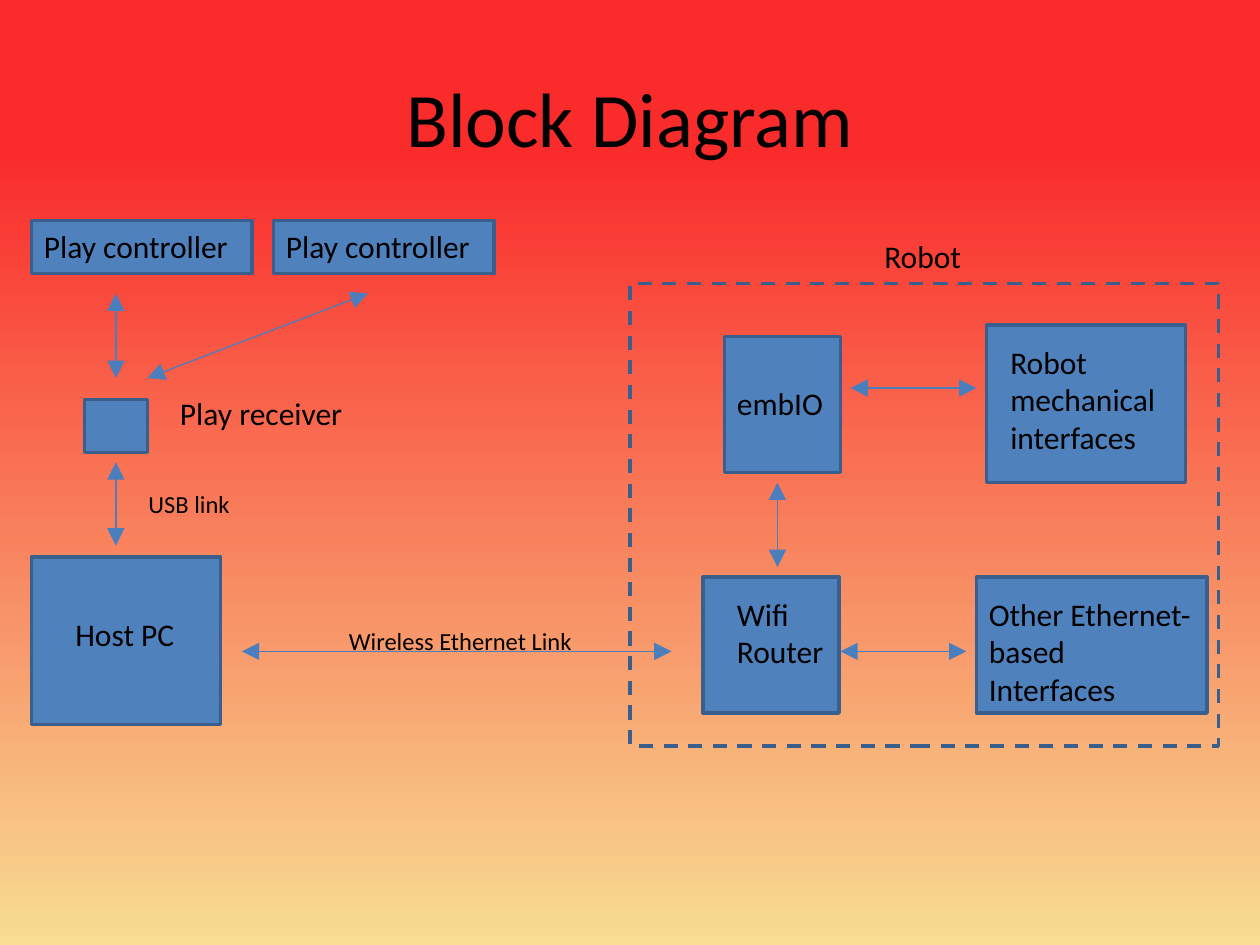
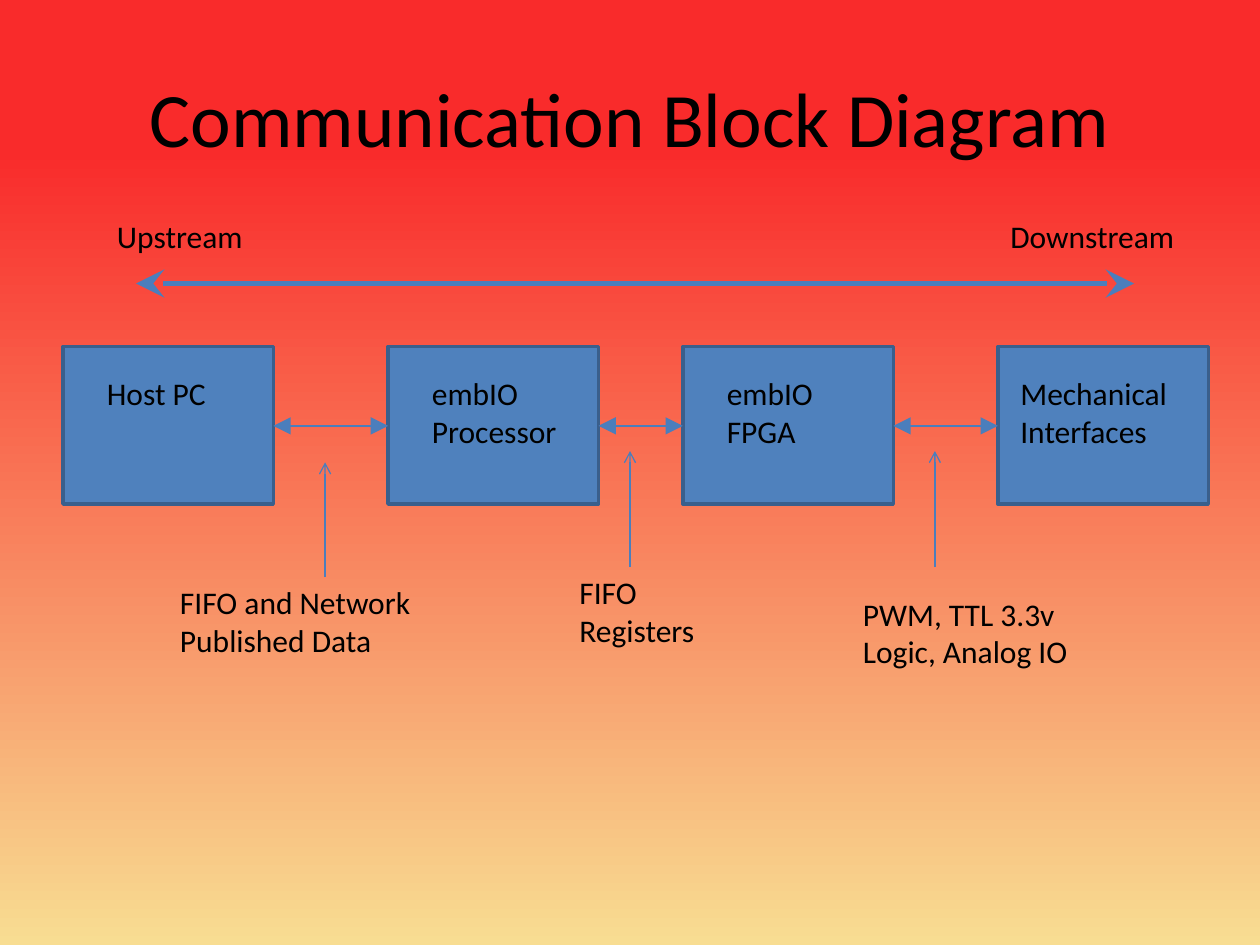
"""Build two block diagram slides for a robot control system."""
from lxml.etree import SubElement
from pptx import Presentation
from pptx.dml.color import RGBColor
from pptx.enum.dml import MSO_LINE
from pptx.enum.shapes import MSO_CONNECTOR, MSO_SHAPE
from pptx.enum.text import MSO_ANCHOR, MSO_AUTO_SIZE, PP_ALIGN
from pptx.oxml.ns import qn
from pptx.util import Inches, Pt

RED = RGBColor(0xF9, 0x2B, 0x2B)
SAND = RGBColor(0xF8, 0xDD, 0x92)
BLUE = RGBColor(0x4F, 0x81, 0xBD)
BORDER = RGBColor(0x3A, 0x5F, 0x8C)
ARROW = RGBColor(0x4B, 0x7E, 0xBC)
BLACK = RGBColor(0, 0, 0)
FONT = "Calibri"


def write(frame, text, size=18, align=PP_ALIGN.LEFT, anchor=MSO_ANCHOR.TOP):
    frame.word_wrap = True
    frame.vertical_anchor = anchor
    para = frame.paragraphs[0]
    para.alignment = align
    span = para.add_run()
    span.text = text
    span.font.name = FONT
    span.font.size = Pt(size)
    span.font.color.rgb = BLACK


def add_page(deck, title):
    page = deck.slides.add_slide(deck.slide_layouts[5])
    fill = page.background.fill
    fill.gradient()
    fill.gradient_angle = 270
    for stop, position, color in zip(fill.gradient_stops, (0.16, 1), (RED, SAND)):
        stop.position = position
        stop.color.rgb = color
    box = page.shapes.title
    box.left, box.top = Inches(0.5), Inches(0.3)
    box.width, box.height = Inches(9), Inches(1.25)
    write(box.text_frame, title, size=44, align=PP_ALIGN.CENTER,
          anchor=MSO_ANCHOR.MIDDLE)
    return page


def add_block(page, left, top, width, height, dashed=False):
    block = page.shapes.add_shape(MSO_SHAPE.RECTANGLE, Inches(left), Inches(top),
                                  Inches(width), Inches(height))
    block.shadow.inherit = False
    block.line.color.rgb = BORDER
    block.line.width = Pt(2)
    if dashed:
        block.fill.background()
        block.line.dash_style = MSO_LINE.DASH
    else:
        block.fill.solid()
        block.fill.fore_color.rgb = BLUE


def add_label(page, text, left, top, width, height=0.4, size=18):
    box = page.shapes.add_textbox(Inches(left), Inches(top),
                                  Inches(width), Inches(height))
    write(box.text_frame, text, size=size)
    box.text_frame.auto_size = MSO_AUTO_SIZE.SHAPE_TO_FIT_TEXT


def add_arrow(page, start, end, head="triangle", tail="triangle", width=0.75,
              tip_size="lg"):
    arrow = page.shapes.add_connector(MSO_CONNECTOR.STRAIGHT,
                                      *map(Inches, start + end))
    arrow.line.color.rgb = ARROW
    arrow.line.width = Pt(width)
    outline = arrow.get_or_add_ln()
    for tag, kind in (("a:headEnd", head), ("a:tailEnd", tail)):
        if kind:
            SubElement(outline, qn(tag), type=kind, w=tip_size, len=tip_size)
    SubElement(arrow._element.spPr, qn("a:effectLst"))


def build_system_page(deck):
    page = add_page(deck, "Block Diagram")

    add_block(page, 5, 2.25, 4.67, 3.67, dashed=True)
    add_label(page, "Robot", 6.92, 1.83, 2.25)

    blocks = [
        (5.75, 2.67, 0.92, 1.08),
        (7.83, 2.58, 1.58, 1.25),
        (0.25, 4.42, 1.5, 1.33),
        (5.58, 4.58, 1.08, 1.08),
        (7.75, 4.58, 1.83, 1.08),
        (0.67, 3.17, 0.5, 0.42),
    ]
    for place in blocks:
        add_block(page, *place)

    for left in (0.25, 2.17):
        add_block(page, left, 1.75, 1.75, 0.42)
        add_label(page, "Play controller", left, 1.75, 1.75)

    arrows = [
        ((6.75, 3.08), (7.75, 3.08)),
        ((6.17, 3.83), (6.17, 4.5)),
        ((6.67, 5.17), (7.67, 5.17)),
        ((1.92, 5.17), (5.33, 5.17)),
        ((0.92, 3.67), (0.92, 4.33)),
        ((0.92, 2.33), (0.92, 3)),
        ((2.92, 2.33), (1.17, 3)),
    ]
    for start, end in arrows:
        add_arrow(page, start, end)

    labels = [
        ("embIO", 5.75, 3, 0.92, 0.4),
        ("Robot mechanical interfaces", 7.92, 2.67, 1.5, 1.01),
        ("Host PC", 0.5, 4.83, 1, 0.42),
        ("Wifi Router", 5.75, 4.67, 0.92, 0.71),
        ("Other Ethernet-based Interfaces", 7.75, 4.67, 1.83, 1.01),
        ("Play receiver", 1.33, 3.08, 1.75, 0.4),
    ]
    for label in labels:
        add_label(page, *label)
    add_label(page, "Wireless Ethernet Link", 2.67, 4.92, 2.25, 0.34, size=14)
    add_label(page, "USB link", 1.08, 3.83, 2.25, 0.34, size=14)


def build_communication_page(deck):
    page = add_page(deck, "Communication Block Diagram")

    block_width, link_y = 1.67, 3.38
    stages = [
        ("Host PC", 0.5, 0.25, 1.33, 0.4),
        ("embIO Processor", 3.08, 0.25, 1.33, 0.71),
        ("embIO FPGA", 5.42, 0.25, 1.33, 0.71),
        ("Mechanical Interfaces", 7.92, 0.08, 1.5, 0.71),
    ]
    for text, left, indent, width, height in stages:
        add_block(page, left, 2.75, block_width, 1.25)
        add_label(page, text, left + indent, 2.92, width, height)
    lefts = [stage[1] for stage in stages]
    for left, following in zip(lefts, lefts[1:]):
        add_arrow(page, (left + block_width, link_y), (following, link_y))

    links = [
        ("FIFO and Network Published Data", 1.33, 4.58, 2.42, (2.58, 4.58), 3.67),
        ("FIFO Registers", 4.5, 4.5, 1.42, (5, 4.5), 3.58),
        ("PWM, TTL 3.3v Logic, Analog IO", 6.75, 4.67, 1.92, (7.42, 4.5), 3.58),
    ]
    for text, left, top, width, start, tip in links:
        add_label(page, text, left, top, width, 0.71)
        add_arrow(page, start, (start[0], tip), head=None, tail="arrow",
                  tip_size="med")

    add_arrow(page, (1.08, 2.25), (9, 2.25), head="stealth", tail="stealth",
              width=3.25)
    add_label(page, "Upstream", 0.83, 1.67, 1.25)
    add_label(page, "Downstream", 7.92, 1.67, 1.83)


def main():
    deck = Presentation()
    deck.slide_width, deck.slide_height = Inches(10), Inches(7.5)
    build_system_page(deck)
    build_communication_page(deck)
    deck.save("out.pptx")


if __name__ == "__main__":
    main()
